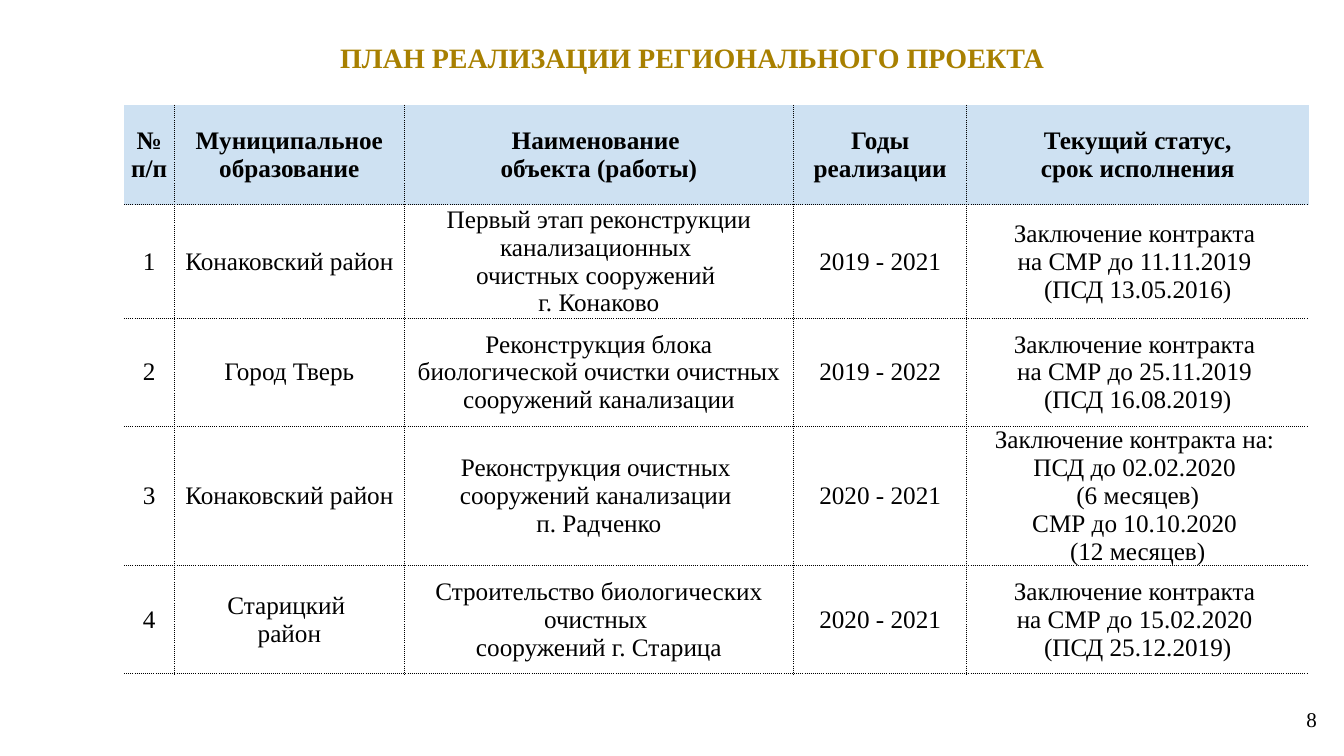
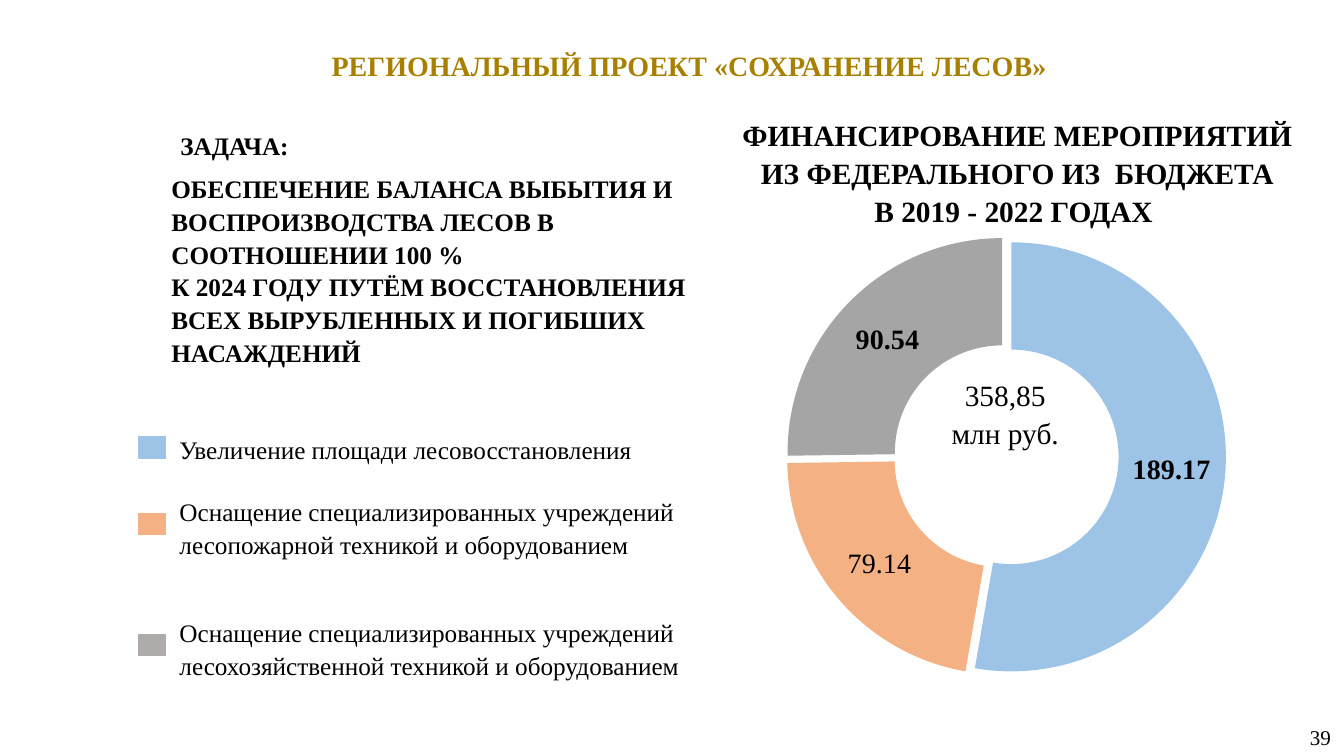
from dataclasses import dataclass

from lxml import etree
from pptx import Presentation
from pptx.chart.data import CategoryChartData
from pptx.dml.color import RGBColor
from pptx.enum import chart as charts, shapes, text
from pptx.oxml import ns, xmlchemy
from pptx.util import Inches, Pt

COLORS = {
    "title": "A88000",
    "text": "000000",
    "header": "CEE1F2",
    "planting": "9DC3E6",
    "fire": "F4B183",
    "forestry": "A5A5A5",
    "forestry_key": "AFABAB",
}
FONT = "Times New Roman"
LINE_SPACING = 1.08
CENTER = text.PP_ALIGN.CENTER
LEFT = text.PP_ALIGN.LEFT
TOP = text.MSO_ANCHOR.TOP
MIDDLE = text.MSO_ANCHOR.MIDDLE


@dataclass(frozen=True)
class Box:
    left: float
    top: float
    width: float
    height: float

    def lengths(self) -> tuple:
        return tuple(Inches(v) for v in (self.left, self.top, self.width, self.height))


@dataclass(frozen=True)
class Style:
    size: float = 18
    bold: bool = False
    color: str = "text"
    align: text.PP_ALIGN = LEFT


@dataclass(frozen=True)
class LegendEntry:
    label: str
    color: str
    top: float
    height: float


@dataclass(frozen=True)
class Sector:
    value: float
    color: str
    bold: bool


TITLE = Style(20, True, "title", CENTER)
HEADING = Style(21, True, align=CENTER)
TOTAL = Style(21, align=CENTER)
TASK = Style(bold=True)
PAGE_NUMBER = Style(15, align=CENTER)
TABLE_HEADER = Style(bold=True, align=CENTER)
TABLE_BODY = Style(align=CENTER)

COLUMN_WIDTHS = (0.5, 2.28, 3.86, 1.72, 3.39)
ROW_HEIGHTS = (0.99, 1.13, 1.07, 1.31, 1.07)
PLAN = (
    ("№ п/п", "Муниципальное образование", "Наименование \nобъекта (работы)",
     "Годы реализации", "Текущий статус,\nсрок исполнения"),
    ("1", "Конаковский район",
     "Первый этап реконструкции канализационных \nочистных сооружений \nг. Конаково",
     "2019 - 2021",
     "Заключение контракта \nна СМР до 11.11.2019 \n(ПСД 13.05.2016)"),
    ("2", "Город Тверь",
     "Реконструкция блока биологической очистки очистных сооружений канализации",
     "2019 - 2022",
     "Заключение контракта \nна СМР до 25.11.2019 \n(ПСД 16.08.2019)"),
    ("3", "Конаковский район",
     "Реконструкция очистных \nсооружений канализации \nп. Радченко",
     "2020 - 2021",
     ("Заключение контракта на: ", "ПСД до 02.02.2020 \n(6 месяцев)",
      "СМР до 10.10.2020 \n(12 месяцев)")),
    ("4", "Старицкий \nрайон",
     "Строительство биологических очистных \nсооружений г. Старица",
     "2020 - 2021",
     "Заключение контракта \nна СМР до 15.02.2020 \n(ПСД 25.12.2019)"),
)
LEGEND = (
    LegendEntry("Увеличение площади лесовосстановления", "planting", 4.22, 0.44),
    LegendEntry("Оснащение специализированных учреждений "
                "лесопожарной техникой и оборудованием", "fire", 4.83, 0.74),
    LegendEntry("Оснащение специализированных учреждений "
                "лесохозяйственной техникой и оборудованием", "forestry_key", 6.03, 0.74),
)
SECTORS = (
    Sector(189.17, "planting", True),
    Sector(79.14, "fire", False),
    Sector(90.54, "forestry", True),
)


def rgb(name: str) -> RGBColor:
    return RGBColor.from_string(COLORS[name])


def set_font(font, style: Style) -> None:
    font.name = FONT
    font.size = Pt(style.size)
    font.bold = style.bold
    font.color.rgb = rgb(style.color)


def write(frame, paragraphs, style: Style, spacing: float = LINE_SPACING) -> None:
    """Fill a frame with one string or several; newlines become line breaks."""
    if isinstance(paragraphs, str):
        paragraphs = (paragraphs,)
    for i, content in enumerate(paragraphs):
        paragraph = frame.add_paragraph() if i else frame.paragraphs[0]
        paragraph.alignment = style.align
        paragraph.line_spacing = spacing
        for j, line in enumerate(content.split("\n")):
            if j:
                paragraph.add_line_break()
            run = paragraph.add_run()
            run.text = line
            set_font(run.font, style)


def add_text(slide, box: Box, paragraphs, style: Style, anchor=TOP,
             insets: tuple = (0.13, 0.07)) -> None:
    frame = slide.shapes.add_textbox(*box.lengths()).text_frame
    frame.word_wrap = True
    frame.vertical_anchor = anchor
    frame.margin_left = frame.margin_right = Inches(insets[0])
    frame.margin_top = frame.margin_bottom = Inches(insets[1])
    write(frame, paragraphs, style)


def add_title(slide, box: Box, title: str) -> None:
    add_text(slide, box, title, TITLE, MIDDLE)


def add_page_number(slide, box: Box, number: int) -> None:
    add_text(slide, box, str(number), PAGE_NUMBER, MIDDLE, (0.07, 0.04))


def set_border(cell, side: str, visible: bool) -> None:
    line = etree.SubElement(cell._tc.get_or_add_tcPr(), ns.qn(f"a:ln{side}"),
                            w=str(Pt(1)))
    if not visible:
        etree.SubElement(line, ns.qn("a:noFill"))
        return
    fill = etree.SubElement(line, ns.qn("a:solidFill"))
    etree.SubElement(fill, ns.qn("a:srgbClr"), val=COLORS["text"])
    etree.SubElement(line, ns.qn("a:prstDash"), val="sysDot")


def add_plan_table(slide, left: float, top: float) -> None:
    box = Box(left, top, sum(COLUMN_WIDTHS), sum(ROW_HEIGHTS))
    table = slide.shapes.add_table(len(PLAN), len(COLUMN_WIDTHS), *box.lengths()).table
    table.first_row = table.horz_banding = False
    for column, width in zip(table.columns, COLUMN_WIDTHS):
        column.width = Inches(width)
    for r, (row, height) in enumerate(zip(PLAN, ROW_HEIGHTS)):
        table.rows[r].height = Inches(height)
        for c, content in enumerate(row):
            cell = table.cell(r, c)
            cell.margin_left = cell.margin_right = 0
            cell.margin_top = cell.margin_bottom = 0
            cell.vertical_anchor = MIDDLE
            set_border(cell, "L", c > 0)
            set_border(cell, "R", c < len(row) - 1)
            set_border(cell, "T", r > 0)
            set_border(cell, "B", True)
            if r == 0:
                cell.fill.solid()
                cell.fill.fore_color.rgb = rgb("header")
            else:
                cell.fill.background()
            write(cell.text_frame, content, TABLE_BODY if r else TABLE_HEADER, 1.0)


def place_plot(chart, x: float, y: float, w: float, h: float) -> None:
    """Fix the inner plot area as fractions of the chart."""
    area = chart._chartSpace.find(".//" + ns.qn("c:plotArea"))
    for old in area.findall(ns.qn("c:layout")):
        area.remove(old)
    layout = etree.Element(ns.qn("c:layout"))
    manual = etree.SubElement(layout, ns.qn("c:manualLayout"))
    settings = (("layoutTarget", "inner"), ("xMode", "edge"), ("yMode", "edge"),
                ("x", x), ("y", y), ("w", w), ("h", h))
    for tag, value in settings:
        etree.SubElement(manual, ns.qn(f"c:{tag}"), val=str(value))
    area.insert(0, layout)


def add_funding_chart(slide, box: Box) -> None:
    data = CategoryChartData()
    data.categories = [str(i + 1) for i in range(len(SECTORS))]
    data.add_series("Series 1", [sector.value for sector in SECTORS])
    chart = slide.shapes.add_chart(charts.XL_CHART_TYPE.DOUGHNUT,
                                   *box.lengths(), data).chart
    chart.has_legend = chart.has_title = False
    chart.font.name = "Calibri"
    chart.font.size = Pt(10)
    chart.font.color.rgb = rgb("text")
    plot = chart.plots[0]
    plot.vary_by_categories = True
    series = plot.series[0]
    for i, sector in enumerate(SECTORS):
        point = series.points[i]
        point.format.fill.solid()
        point.format.fill.fore_color.rgb = rgb(sector.color)
        set_font(point.data_label.font, Style(20, sector.bold))
    explosion = etree.Element(ns.qn("c:explosion"), val="5")
    series._element.find(ns.qn("c:dPt")).addprevious(explosion)
    place_plot(chart, 0.1, 0.03, 0.72, 0.83)


def add_legend_entry(slide, entry: LegendEntry) -> None:
    width, height = 0.26, 0.21
    add_text(slide, Box(1.65, entry.top, 5.95, entry.height), entry.label, Style())
    key_top = entry.top + (entry.height - height) / 2
    key = slide.shapes.add_shape(shapes.MSO_SHAPE.RECTANGLE,
                                 *Box(1.38, key_top, width, height).lengths())
    key.shadow.inherit = False
    key.fill.solid()
    key.fill.fore_color.rgb = key.line.color.rgb = rgb(entry.color)
    key.line.width = Pt(1)


def build_plan(slide) -> None:
    add_plan_table(slide, 1.23, 1.04)
    add_title(slide, Box(1.01, 0.32, 11.71, 0.47), "ПЛАН РЕАЛИЗАЦИИ РЕГИОНАЛЬНОГО ПРОЕКТА")
    add_page_number(slide, Box(12.82, 7.01, 0.38, 0.23), 8)


def build_forests(slide) -> None:
    add_title(slide, Box(1.32, 0.16, 11.03, 0.96), "РЕГИОНАЛЬНЫЙ ПРОЕКТ «СОХРАНЕНИЕ ЛЕСОВ»")
    add_funding_chart(slide, Box(7.19, 2.17, 6.06, 5.3))
    add_text(slide, Box(7.14, 1.06, 5.9, 1.19),
             ("ФИНАНСИРОВАНИЕ МЕРОПРИЯТИЙ", "ИЗ ФЕДЕРАЛЬНОГО ИЗ  БЮДЖЕТА",
              "В 2019 - 2022 ГОДАХ "), HEADING)
    add_text(slide, Box(9.28, 3.64, 1.38, 0.84), ("358,85", "млн руб."), TOTAL)
    add_text(slide, Box(1.66, 1.2, 1.6, 0.44), "ЗАДАЧА:", TASK)
    add_text(slide, Box(1.57, 1.63, 5.37, 2.26),
             "ОБЕСПЕЧЕНИЕ БАЛАНСА ВЫБЫТИЯ И ВОСПРОИЗВОДСТВА ЛЕСОВ В СООТНОШЕНИИ 100 % \n"
             "К 2024 ГОДУ ПУТЁМ ВОССТАНОВЛЕНИЯ ВСЕХ ВЫРУБЛЕННЫХ И ПОГИБШИХ НАСАЖДЕНИЙ", TASK)
    for entry in LEGEND:
        add_legend_entry(slide, entry)
    add_page_number(slide, Box(12.86, 7.1, 0.47, 0.4), 39)


def main() -> None:
    deck = Presentation()
    deck.slide_width, deck.slide_height = Inches(13.33), Inches(7.5)
    blank = deck.slide_layouts[6]
    for build in (build_plan, build_forests):
        build(deck.slides.add_slide(blank))
    deck.save("out.pptx")


if __name__ == "__main__":
    main()
